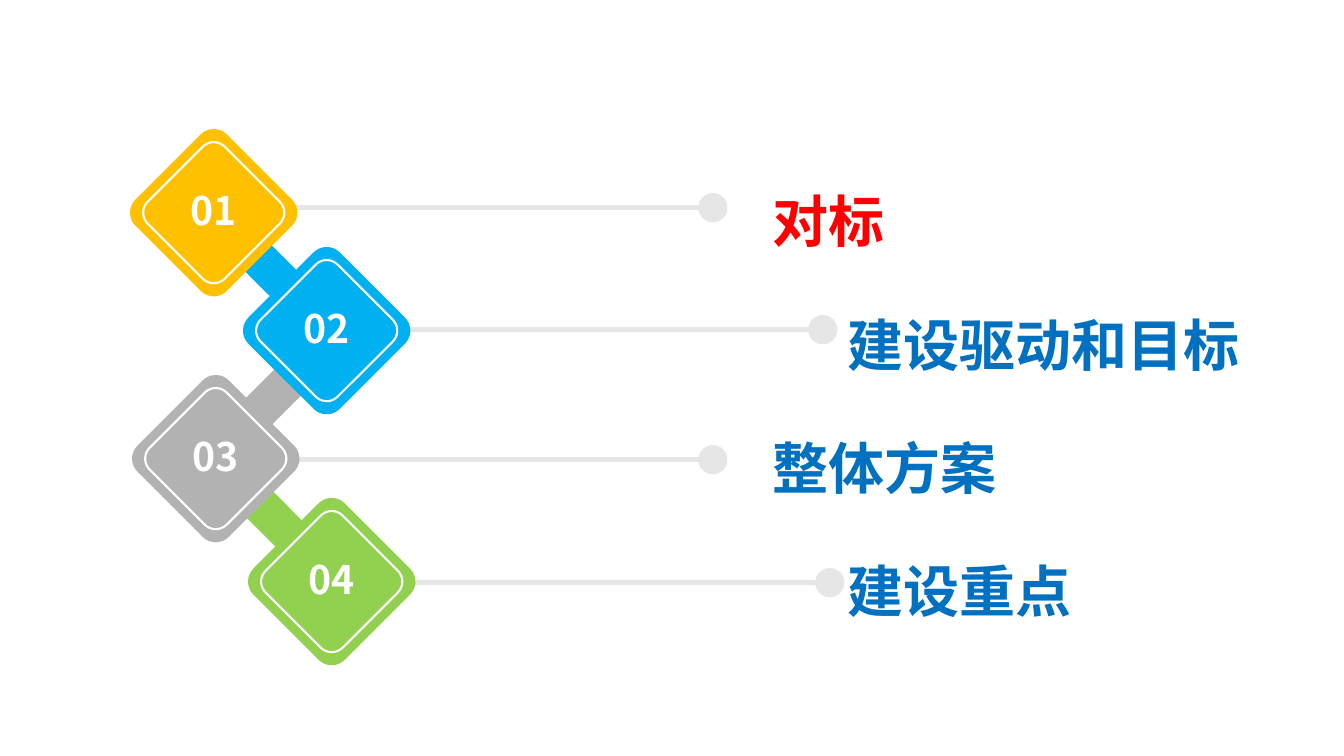
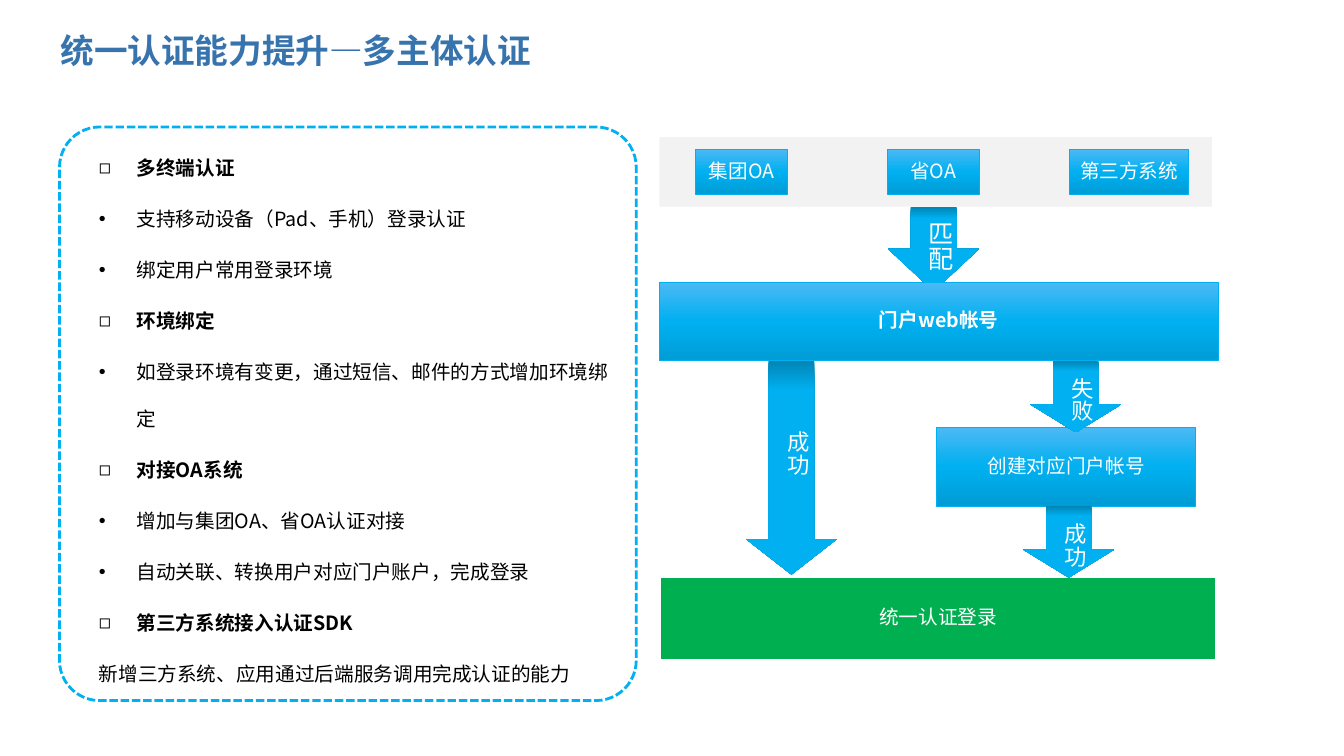
import math

import pptx
import pptx.dml.color
import pptx.enum.dml
import pptx.enum.shapes
import pptx.enum.text
import pptx.oxml
import pptx.oxml.ns
import pptx.util

PX = 9144  # EMU per px, 100 px to the inch
FONT = "Noto Sans CJK SC"
WHITE, BLACK, RED = "FFFFFF", "000000", "FF0000"
AMBER, CYAN, GREY, LIME = "FFC000", "00B0F0", "B2B2B2", "92D050"
LEADER, PANEL, LOGIN = "E6E6E6", "F2F2F2", "00B050"
TITLE_BLUE, LINK_BLUE = "3773AC", "0070C0"
BOX_GRADIENT = [(0, "4BB9F5"), (50, CYAN), (100, "009CD5")]
ARROW_GRADIENT = [(0, "0084B4"), (14, CYAN)]

SHAPE = pptx.enum.shapes.MSO_SHAPE
ANCHOR = pptx.enum.text.MSO_ANCHOR
ALIGN = pptx.enum.text.PP_ALIGN
AUTO = pptx.enum.text.MSO_AUTO_SIZE
qn = pptx.oxml.ns.qn

# Agenda: text, text colour, indent, diamond colour, diamond centre, dot centre
AGENDA = [
    ("对标", RED, 0, AMBER, (212, 211), (707, 206)),
    ("建设驱动和目标", LINK_BLUE, 75, CYAN, (324, 328), (816, 327)),
    ("整体方案", LINK_BLUE, 0, GREY, (214, 455), (707, 456)),
    ("建设重点", LINK_BLUE, 75, LIME, (329, 577), (823, 578)),
]
# Links between neighbouring diamonds: centre, angle, colour
LINKS = [((264, 264), 45, CYAN), ((279, 386), -45, GREY), ((265, 508), 45, LIME)]
AGENDA_BOX = (756, 136, 541, 499)
OUTER, INNER = 83, 70
LINK_SIZE, DOT = (105, 37), 29

TITLE = "统一认证能力提升—多主体认证"
TITLE_BOX = (50, 18, 953, 63)
HEAD, ITEM, PLAIN = "head", "item", "plain"
POINTS = [
    (HEAD, "多终端认证"),
    (ITEM, "支持移动设备（Pad、手机）登录认证"),
    (ITEM, "绑定用户常用登录环境"),
    (HEAD, "环境绑定"),
    (ITEM, "如登录环境有变更，通过短信、邮件的方式增加环境绑定"),
    (HEAD, "对接OA系统"),
    (ITEM, "增加与集团OA、省OA认证对接"),
    (ITEM, "自动关联、转换用户对应门户账户，完成登录"),
    (HEAD, "第三方系统接入认证SDK"),
    (PLAIN, "新增三方系统、应用通过后端服务调用完成认证的能力"),
]
POINTS_BOX, POINTS_FRAME = (88, 126, 527, 569), (59, 126, 572, 569)
PANEL_BOX = (654, 136, 548, 69)
LOGIN_BOX = ("统一认证登录", (654, 572, 553, 83))
PORTAL_BOX = ("门户web帐号", (654, 280, 554, 78))
STEPS = [
    ("集团OA", (690, 148, 91, 45)),
    ("省OA", (880, 148, 91, 45)),
    ("第三方系统", (1061, 148, 118, 45)),
    ("创建对应门户帐号", (929, 424, 257, 78)),
]
# Arrows: label, label size, left, top, height, head ratio, label box
ARROWS = [
    ("匹配", 18, 881, 205, 84, 0.5, (902, 210, 47, 61)),
    ("成功", 16, 740, 357, 213, 0.39, (763, 418, 44, 62)),
    ("成功", 16, 1015, 502, 71, 0.39, (1037, 509, 44, 62)),
    ("失败", 16, 1022, 358, 71, 0.39, (1044, 365, 44, 62)),
]
ARROW_WIDTH = 90


def emu(*lengths):
    return [round(v * PX) for v in lengths]


def rgb(value):
    return pptx.dml.color.RGBColor.from_string(value)


def style(p, size, color, bold=False):
    for r in p.runs:
        r.font.size, r.font.bold = pptx.util.Pt(size), bold
        r.font.color.rgb = rgb(color)
        r.font.name = FONT
        ea = pptx.oxml.parse_xml(f'<a:ea {pptx.oxml.ns.nsdecls("a")} typeface="{FONT}"/>')
        r.font._element.find(qn("a:latin")).addnext(ea)


def write(sp, text, size, color=WHITE, bold=False):
    """Put one centred line of text into a shape."""
    tf = sp.text_frame
    tf.text = text
    tf.vertical_anchor = ANCHOR.MIDDLE
    p = tf.paragraphs[0]
    p.alignment, p.line_spacing = ALIGN.CENTER, 0.9
    style(p, size, color, bold)


def paint(sp, fill=None, line=None, width=1):
    """Fill may be a colour, a top-down list of gradient stops, or None."""
    sp.shadow.inherit = False
    if fill is None:
        sp.fill.background()
    elif isinstance(fill, str):
        sp.fill.solid()
        sp.fill.fore_color.rgb = rgb(fill)
    else:
        sp.fill.gradient()
        grad = sp._element.spPr.find(qn("a:gradFill"))
        stops = "".join(
            f'<a:gs pos="{pos * 1000}"><a:srgbClr val="{c}"/></a:gs>' for pos, c in fill)
        grad.replace(grad.find(qn("a:gsLst")), pptx.oxml.parse_xml(
            f'<a:gsLst {pptx.oxml.ns.nsdecls("a")}>{stops}</a:gsLst>'))
        grad.find(qn("a:lin")).set("ang", "5400000")
    if line:
        sp.line.color.rgb = rgb(line)
        sp.line.width = pptx.util.Pt(width)
    else:
        sp.line.fill.background()
    return sp


def add(s, kind, box, *look):
    return paint(s.shapes.add_shape(kind, *emu(*box)), *look)


def centred(center, w, h):
    return center[0] - w / 2, center[1] - h / 2, w, h


def rounded_diamond(s, center, half, *look):
    r = 0.22 * half
    hub = half - r
    points = []
    for axis in range(0, 360, 90):
        a = math.radians(axis)
        for turn in range(axis - 45, axis + 46, 10):
            t = math.radians(turn)
            points.append(emu(center[0] + hub * math.cos(a) + r * math.cos(t),
                              center[1] + hub * math.sin(a) + r * math.sin(t)))
    fb = s.shapes.build_freeform(*points[0], scale=1.0)
    fb.add_line_segments(points[1:], close=True)
    return paint(fb.convert_to_shape(), *look)


def leader(s, start, end):
    c = s.shapes.add_connector(pptx.enum.shapes.MSO_CONNECTOR.STRAIGHT, *emu(*start, *end))
    c.line.color.rgb = rgb(LEADER)
    c.line.width = pptx.util.Pt(3.6)
    c._element.spPr.append(
        pptx.oxml.parse_xml(f'<a:effectLst {pptx.oxml.ns.nsdecls("a")}/>'))
    add(s, SHAPE.OVAL, centred(end, DOT, DOT), LEADER)


def place(sp, box):
    sp.left, sp.top, sp.width, sp.height = emu(*box)
    sp.text_frame.word_wrap = True
    sp.text_frame.auto_size = AUTO.NONE
    return sp.text_frame


def bullet(p, char=None, indent=0):
    """Use the given bullet character, or none with a plain left indent."""
    pPr = p._p.get_or_add_pPr()
    if char:
        tag = f'<a:buChar {pptx.oxml.ns.nsdecls("a")} char="{char}"/>'
    else:
        pPr.set("marL", str(emu(indent)[0]))
        pPr.set("indent", "0")
        tag = f'<a:buNone {pptx.oxml.ns.nsdecls("a")}/>'
    pPr.append(pptx.oxml.parse_xml(tag))


def agenda_slide(prs):
    s = prs.slides.add_slide(prs.slide_layouts[1])
    title = s.shapes.title._element
    title.getparent().remove(title)
    tf = place(s.placeholders[1], AGENDA_BOX)
    tf.text = "\n".join(item[0] for item in AGENDA)
    for p, (_, color, indent, *_) in zip(tf.paragraphs, AGENDA):
        p.line_spacing = pptx.util.Pt(80)
        bullet(p, indent=indent)
        style(p, 40, color, True)

    for *_, center, dot in AGENDA:
        leader(s, (center[0], dot[1]), dot)
    for center, angle, color in LINKS:
        link = add(s, SHAPE.ROUNDED_RECTANGLE, centred(center, *LINK_SIZE), color)
        link.adjustments[0] = 0.5
        link.rotation = angle
    for number, (_, _, _, color, center, _) in enumerate(AGENDA, 1):
        write(rounded_diamond(s, center, OUTER, color), f"{number:02}", 28, bold=True)
        rounded_diamond(s, center, INNER, None, WHITE, 1.5)


def step_box(s, text, box, bold=False):
    write(add(s, SHAPE.RECTANGLE, box, BOX_GRADIENT, CYAN, 0.5), text, 14, bold=bold)


def arrow(s, label, size, left, top, height, head, label_box):
    sp = add(s, SHAPE.DOWN_ARROW, (left, top, ARROW_WIDTH, height), ARROW_GRADIENT)
    sp.adjustments[1] = head
    tb = s.shapes.add_textbox(*emu(*label_box))
    write(tb, label, size)
    tf = tb.text_frame
    tf.vertical_anchor = ANCHOR.TOP
    tf.word_wrap, tf.auto_size = False, AUTO.SHAPE_TO_FIT_TEXT
    tf._txBody.bodyPr.set("vert", "eaVert")


def login_slide(prs):
    s = prs.slides.add_slide(prs.slide_layouts[1])
    tf = place(s.shapes.title, TITLE_BOX)
    tf.text = TITLE
    tf.vertical_anchor = ANCHOR.MIDDLE
    tf.paragraphs[0].alignment = ALIGN.LEFT
    style(tf.paragraphs[0], 24, TITLE_BLUE, True)

    tf = place(s.placeholders[1], POINTS_BOX)
    tf.text = "\n".join(text for _, text in POINTS)
    for p, (kind, _) in zip(tf.paragraphs, POINTS):
        p.line_spacing = 2.0
        bullet(p, {HEAD: "◻", ITEM: "•"}.get(kind))
        style(p, 14, BLACK, kind == HEAD)

    frame = add(s, SHAPE.ROUNDED_RECTANGLE, POINTS_FRAME, None, CYAN, 2)
    frame.adjustments[0] = 0.07
    frame.line.dash_style = pptx.enum.dml.MSO_LINE.SQUARE_DOT

    text, box = LOGIN_BOX
    write(add(s, SHAPE.RECTANGLE, box, LOGIN, WHITE, 2), text, 14)
    add(s, SHAPE.RECTANGLE, PANEL_BOX, PANEL)
    for step in STEPS:
        step_box(s, *step)
    for item in ARROWS:
        arrow(s, *item)
    step_box(s, *PORTAL_BOX, bold=True)


def main():
    prs = pptx.Presentation()
    prs.slide_width, prs.slide_height = emu(1333, 750)
    agenda_slide(prs)
    login_slide(prs)
    prs.save("out.pptx")


if __name__ == "__main__":
    main()
